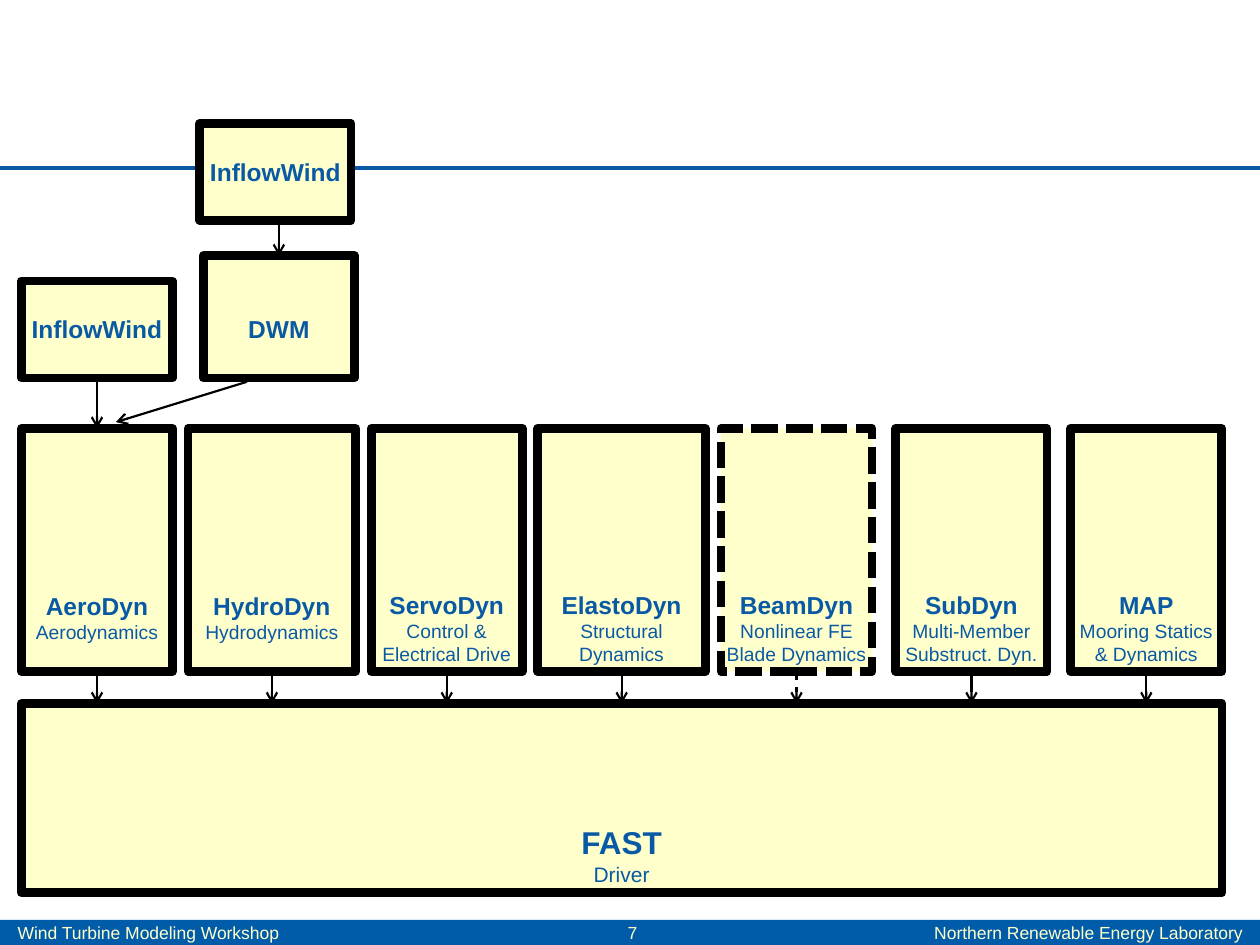
import dataclasses

import lxml.etree
import pptx
import pptx.dml.color
import pptx.enum.dml
import pptx.enum.shapes
import pptx.enum.text
import pptx.oxml.ns
import pptx.shapes.autoshape
import pptx.shapes.connector
import pptx.slide
import pptx.text.text
import pptx.util

BLUE = pptx.dml.color.RGBColor(0x09, 0x59, 0xA5)
BAR = pptx.dml.color.RGBColor(0x00, 0x5C, 0xA8)
CREAM = pptx.dml.color.RGBColor(0xFF, 0xFF, 0xCC)
BLACK = pptx.dml.color.RGBColor(0, 0, 0)

WIDE, HIGH = pptx.util.Inches(10), pptx.util.Inches(7.5)
UNIT = WIDE / 100  # square grid of 100 by 75 units
FIRST, PITCH = 7.7, 13.88  # centre of the first module, step to the next
DASH = pptx.enum.dml.MSO_LINE
ALIGN = pptx.enum.text.PP_ALIGN
BOTTOM, TOP = 2, 0  # connection sites of a rectangle

Point = tuple[float, float]


@dataclasses.dataclass
class Box:
    name: str
    col: float
    top: float
    wide: float
    high: float
    notes: tuple[str, ...] = ()
    size: int = 14
    small: int = 11
    lift: float = 0  # extra points under the text
    dash: bool = False

    @property
    def mid(self) -> float:
        return FIRST + PITCH * self.col

    @property
    def base(self) -> float:
        return self.top + self.high


def module(col: int, name: str, *notes: str, wide: float = 12,
           lift: float = 0, dash: bool = False) -> Box:
    return Box(name, col, 34, wide, 19.3, notes, lift=lift, dash=dash)


MODULES = [
    module(0, "AeroDyn", "Aerodynamics", lift=12.65),
    module(1, "HydroDyn", "Hydrodynamics", wide=13.3, lift=12.65),
    module(2, "ServoDyn", "Control &", "Electrical Drive"),
    module(3, "ElastoDyn", "Structural", "Dynamics", wide=13.3),
    module(4, "BeamDyn", "Nonlinear FE", "Blade Dynamics", dash=True),
    module(5, "SubDyn", "Multi-Member", "Substruct. Dyn."),
    module(6, "MAP", "Mooring Statics", "& Dynamics"),
]
DRIVER = Box("FAST", 3, 55.85, 95.3, 15, ("Driver",), size=18, small=12)
WIND = Box("InflowWind", 0, 22.3, 12, 7.7, lift=16.1)
WAKE = Box("DWM", 1.04, 20.3, 12, 9.7, lift=16.1)
GUST = Box("InflowWind", 1.02, 9.8, 12, 7.7, lift=16.1)


def grid(value: float) -> pptx.util.Emu:
    return pptx.util.Emu(round(value * UNIT))


def style(item: object, **values: object) -> None:
    for key, value in values.items():
        setattr(item, key, value)


def add_run(para: pptx.text.text._Paragraph, text: str, size: int,
            tint: pptx.dml.color.RGBColor, bold: bool = False) -> None:
    run = para.add_run()
    run.text = text
    style(run.font, name="Arial", size=pptx.util.Pt(size), bold=bold)
    run.font.color.rgb = tint


def add_rect(slide: pptx.slide.Slide, left: float, top: float, wide: float,
             high: float, fill: pptx.dml.color.RGBColor
             ) -> pptx.shapes.autoshape.Shape:
    rect = slide.shapes.add_shape(
        pptx.enum.shapes.MSO_SHAPE.RECTANGLE, *map(grid, (left, top, wide, high)))
    rect.shadow.inherit = False
    rect.fill.solid()
    rect.fill.fore_color.rgb = fill
    return rect


def add_box(slide: pptx.slide.Slide, box: Box) -> pptx.shapes.autoshape.Shape:
    rect = add_rect(slide, box.mid - box.wide / 2, box.top, box.wide, box.high, CREAM)
    rect.line.color.rgb = BLACK
    style(rect.line, width=pptx.util.Pt(5))
    if box.dash:
        rect.line.dash_style = DASH.SQUARE_DOT
    frame = rect.text_frame
    style(frame, word_wrap=False, margin_bottom=pptx.util.Pt(3.6 + box.lift),
          vertical_anchor=pptx.enum.text.MSO_ANCHOR.BOTTOM)
    for row, text in enumerate((box.name, *box.notes)):
        para = frame.add_paragraph() if row else frame.paragraphs[0]
        para.alignment = ALIGN.CENTER
        add_run(para, text, box.small if row else box.size, BLUE, bold=not row)
    return rect


def add_line(slide: pptx.slide.Slide, start: Point, end: Point,
             tint: pptx.dml.color.RGBColor, width: float
             ) -> pptx.shapes.connector.Connector:
    line = slide.shapes.add_connector(
        pptx.enum.shapes.MSO_CONNECTOR.STRAIGHT, *map(grid, (*start, *end)))
    line.line.color.rgb = tint
    line.line.width = pptx.util.Pt(width)
    lxml.etree.SubElement(line._element.spPr, pptx.oxml.ns.qn("a:effectLst"))
    return line


def add_arrow(slide: pptx.slide.Slide, start: Point, end: Point,
              dash: bool = False) -> pptx.shapes.connector.Connector:
    line = add_line(slide, start, end, BLACK, 1.25)
    if dash:
        line.line.dash_style = DASH.DASH
    tail = lxml.etree.SubElement(line.line._get_or_add_ln(), pptx.oxml.ns.qn("a:tailEnd"))
    tail.set("type", "arrow")
    return line


def add_footer(slide: pptx.slide.Slide) -> None:
    bar = add_rect(slide, 0, 73, 100, 2, BAR)
    bar.line.fill.background()
    style(bar.text_frame, margin_left=grid(1.4), margin_right=grid(1.2),
          margin_top=0, margin_bottom=0, word_wrap=True,
          vertical_anchor=pptx.enum.text.MSO_ANCHOR.MIDDLE)
    para = bar.text_frame.paragraphs[0]
    para.alignment = ALIGN.LEFT
    stops = lxml.etree.SubElement(para._p.get_or_add_pPr(), pptx.oxml.ns.qn("a:tabLst"))
    for place, kind in ((48.8, "ctr"), (97.2, "r")):
        stop = lxml.etree.SubElement(stops, pptx.oxml.ns.qn("a:tab"))
        stop.set("pos", str(grid(place)))
        stop.set("algn", kind)
    add_run(para, "Wind Turbine Modeling Workshop\t7\tNorthern Renewable Energy Laboratory",
            10, CREAM)


def main() -> None:
    deck = pptx.Presentation()
    style(deck, slide_width=WIDE, slide_height=HIGH)
    slide = deck.slides.add_slide(deck.slide_layouts[6])
    add_footer(slide)
    add_line(slide, (0, 13.3), (100, 13.3), BLUE, 2.25)

    driver = add_box(slide, DRIVER)
    rects = [add_box(slide, box) for box in MODULES]
    for box, rect in zip(MODULES, rects):
        arrow = add_arrow(slide, (box.mid, box.base), (box.mid, DRIVER.top), box.dash)
        arrow.begin_connect(rect, BOTTOM)
        if box.col == DRIVER.col:
            arrow.end_connect(driver, TOP)

    wind, wake, _ = [add_box(slide, box) for box in (WIND, WAKE, GUST)]
    arrow = add_arrow(slide, (WIND.mid, WIND.base), (WIND.mid, MODULES[0].top))
    arrow.begin_connect(wind, BOTTOM)
    arrow.end_connect(rects[0], TOP)
    arrow = add_arrow(slide, (WAKE.mid, 17.8), (WAKE.mid, WAKE.top))
    arrow.end_connect(wake, TOP)
    add_arrow(slide, (19.6, 30.3), (9.2, 33.5))
    deck.save("out.pptx")


if __name__ == "__main__":
    main()
